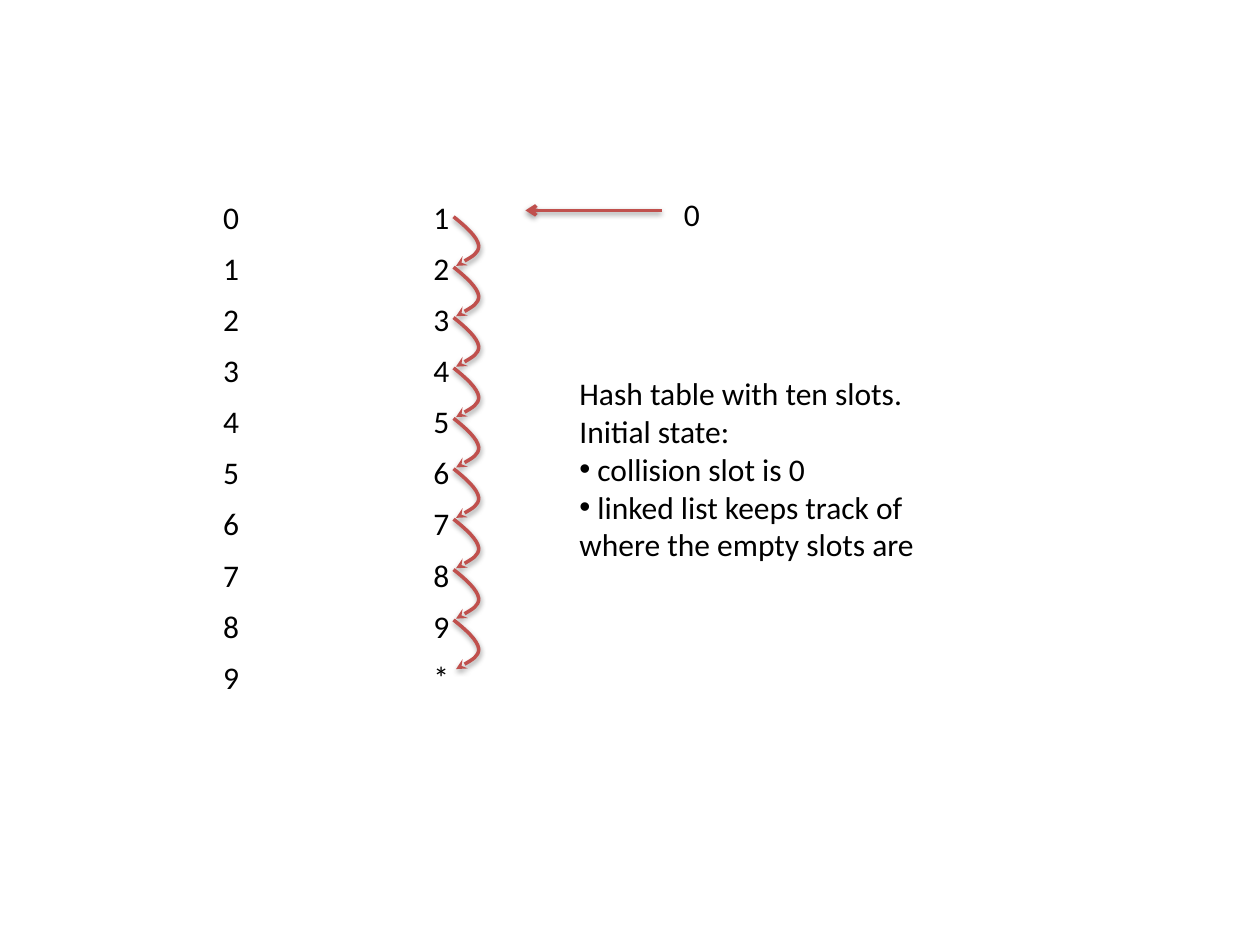
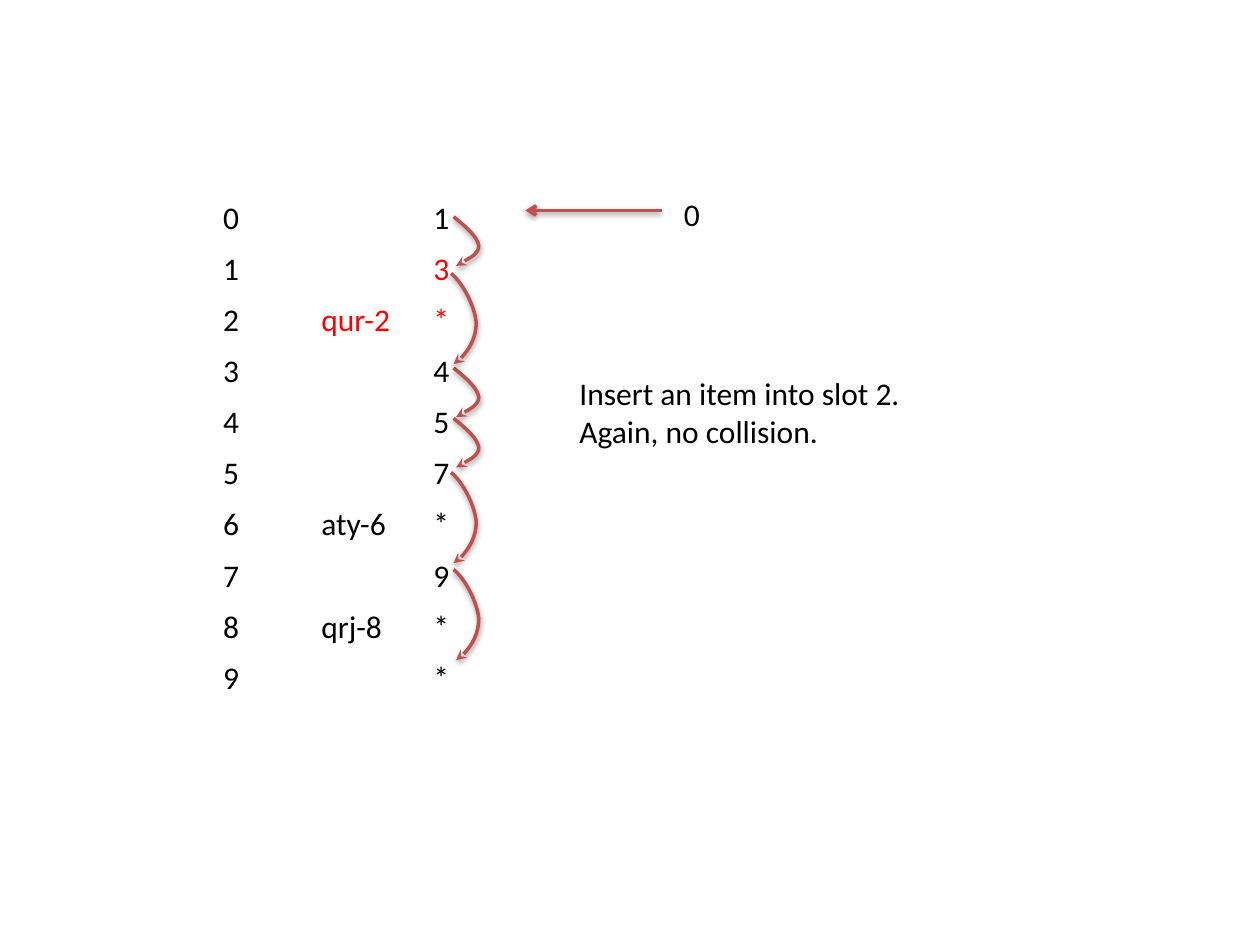
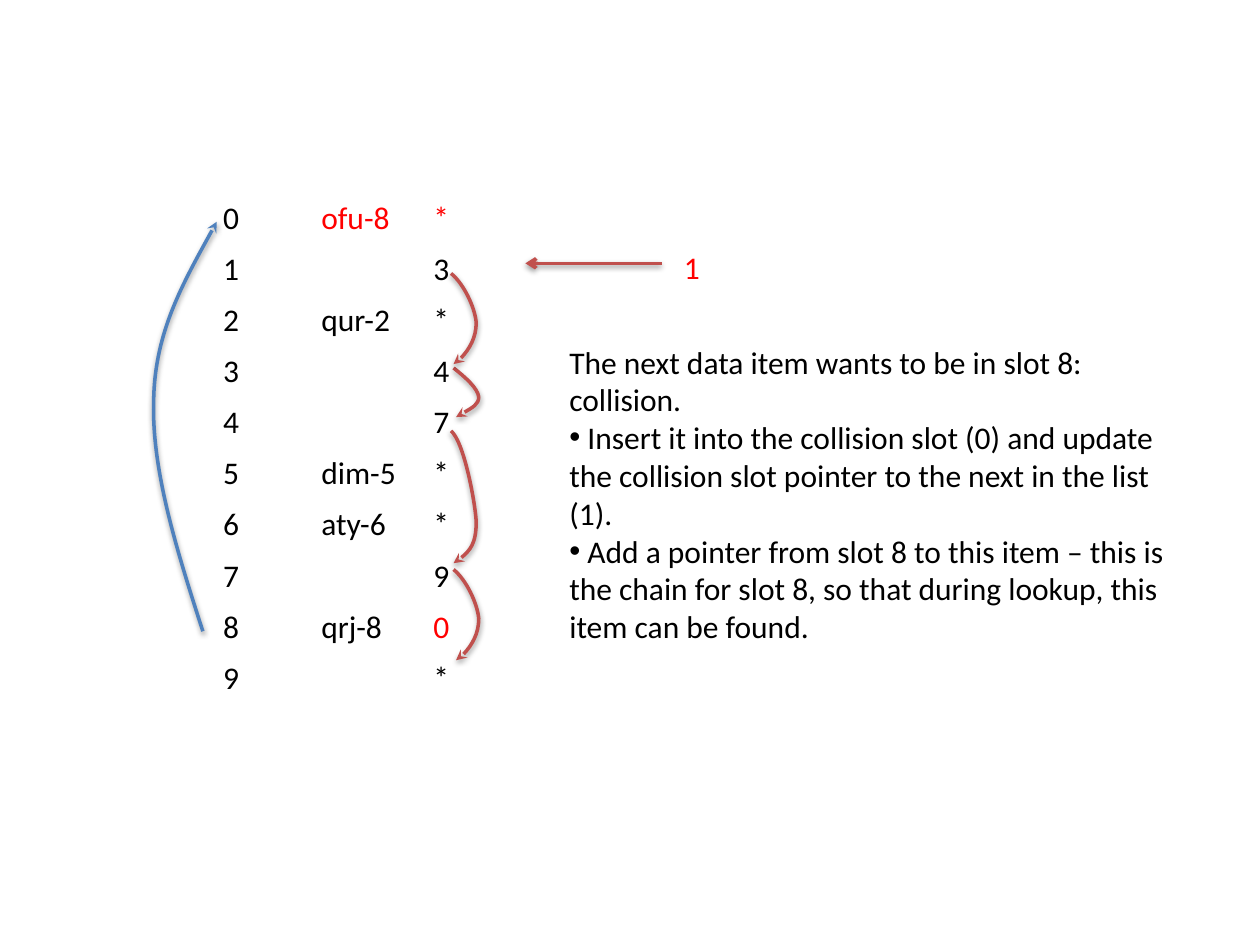
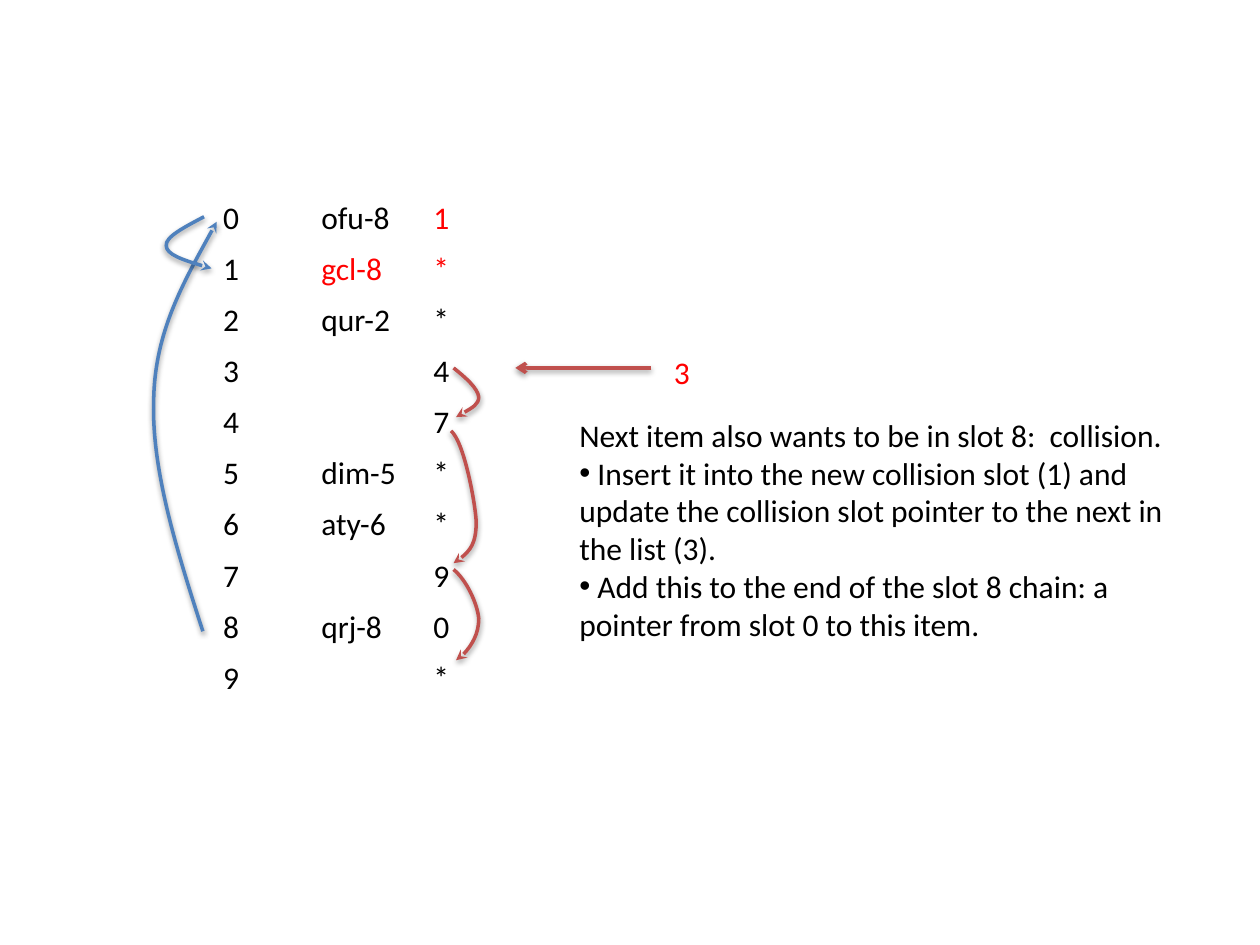
from dataclasses import dataclass, field
from typing import NamedTuple

from lxml.etree import SubElement
from pptx import Presentation
from pptx.dml.color import RGBColor
from pptx.enum.shapes import MSO_CONNECTOR
from pptx.enum.text import MSO_AUTO_SIZE
from pptx.oxml.ns import qn
from pptx.util import Inches, Pt

STRAIGHT = MSO_CONNECTOR.STRAIGHT
FIT_SHAPE = MSO_AUTO_SIZE.SHAPE_TO_FIT_TEXT

FONT = "Calibri"
BLACK, RED = "000000", "FF0000"
LIST_COLOR, CHAIN_COLOR = "C0504D", "4F81BD"

# Table grid
TABLE_LEFT, TABLE_TOP = 1.67, 1.53
COL_WIDTHS = (0.78, 0.89, 0.67)
SLOTS, ROW_HEIGHT = 10, 0.406

# Free list arrows: first start point and step per slot
LINK_X, LINK_Y, LINK_STEP = 3.6, 1.72, 0.4

# Bezier points relative to the start, by number of slots spanned
Points = list[tuple[float, float]]
LINK_CURVES: dict[int, Points] = {
    1: [(0, 0), (0.1, 0.08), (0.19, 0.16), (0.2, 0.23),
        (0.2, 0.29), (0.11, 0.34), (0.02, 0.39)],
    2: [(0, 0), (0.1, 0.08), (0.19, 0.27), (0.2, 0.39),
        (0.2, 0.51), (0.11, 0.67), (0.02, 0.72)],
    3: [(0, 0), (0.1, 0.08), (0.19, 0.55), (0.2, 0.72),
        (0.2, 0.9), (0.11, 1), (0.02, 1.05)],
}

# Collision chain arrows, in slide coordinates
CHAIN_8_TO_0: Points = [(1.61, 5.01), (1.4, 4.36), (1.2, 3.72), (1.22, 3.17),
                        (1.23, 2.63), (1.48, 2.2), (1.72, 1.76)]
CHAIN_0_TO_1: Points = [(1.62, 1.72), (1.47, 1.8), (1.31, 1.88), (1.32, 1.95),
                        (1.32, 2.02), (1.5, 2.08), (1.68, 2.13)]


class Link(NamedTuple):
    """Arrow from an empty slot to the next empty one."""
    slot: int
    span: int = 1
    dx: float = 0
    dy: float = 0


class Pointer(NamedTuple):
    """Collision slot pointer: label and arrow height."""
    label: str
    y: float
    dx: float = 0
    color: str = BLACK


class Note(NamedTuple):
    """Explanation: box, plain paragraphs, bulleted paragraphs."""
    box: tuple[float, float, float, float]
    lines: list[str]
    bullets: list[str] = []


@dataclass
class State:
    """One state of the hash table."""
    nexts: str
    links: list[Link]
    pointer: Pointer
    note: Note
    items: dict[int, str] = field(default_factory=dict)
    changed: set[tuple[int, int]] = field(default_factory=set)
    chains: list[Points] = field(default_factory=list)


def rgb(color: str) -> RGBColor:
    return RGBColor.from_string(color)


def write(p, text: str, *, color: str = BLACK, size: float = 18,
          bullet: bool = False) -> None:
    """Add a formatted run to a paragraph."""
    r = p.add_run()
    r.text = text
    r.font.name, r.font.size = FONT, Pt(size)
    r.font.color.rgb = rgb(color)
    if bullet:
        p_pr = p._p.get_or_add_pPr()
        SubElement(p_pr, qn("a:buFont"), typeface="Arial")
        SubElement(p_pr, qn("a:buChar"), char="•")


def add_text(s, box: tuple[float, float, float, float], lines: list[str],
             bullets: list[str], color: str = BLACK) -> None:
    tf = s.shapes.add_textbox(*map(Inches, box)).text_frame
    tf.word_wrap = True
    tf.auto_size = FIT_SHAPE
    for i, text in enumerate(lines + bullets):
        p = tf.paragraphs[0] if i == 0 else tf.add_paragraph()
        write(p, text, color=color, bullet=i >= len(lines))


def style_arrow(shape, color: str, head: str) -> None:
    """Set line, arrowhead and soft shadow."""
    shape.line.color.rgb = rgb(color)
    shape.line.width = Pt(2)
    sp_pr = shape.element.spPr
    SubElement(sp_pr.find(qn("a:ln")), qn("a:tailEnd"), type=head)
    effects = SubElement(sp_pr, qn("a:effectLst"))
    shadow = SubElement(effects, qn("a:outerShdw"), blurRad="40000",
                        dist="20000", dir="5400000", rotWithShape="0")
    shade = SubElement(shadow, qn("a:srgbClr"), val=BLACK)
    SubElement(shade, qn("a:alpha"), val="38000")


def add_curve(s, points: Points, color: str) -> None:
    """Draw an open Bezier arrow: a start, then three points a segment."""
    start, *rest = [(Inches(x), Inches(y)) for x, y in points]
    builder = s.shapes.build_freeform(*start)
    builder.add_line_segments(rest, close=False)
    sp = builder.convert_to_shape()
    sp.fill.background()
    outline = sp.element.find(".//" + qn("a:path"))
    segments = outline.findall(qn("a:lnTo"))
    for i in range(0, len(segments), 3):
        curve = SubElement(outline, qn("a:cubicBezTo"))
        for segment in segments[i:i + 3]:
            curve.append(segment[0])
            outline.remove(segment)
    style_arrow(sp, color, "stealth")


def add_link(s, link: Link) -> None:
    x = LINK_X + link.dx
    y = LINK_Y + LINK_STEP * link.slot + link.dy
    add_curve(s, [(x + px, y + py) for px, py in LINK_CURVES[link.span]],
              LIST_COLOR)


def add_pointer(s, pointer: Pointer) -> None:
    y = Inches(pointer.y)
    arrow = s.shapes.add_connector(STRAIGHT, Inches(5.25 + pointer.dx), y,
                                   Inches(4.17 + pointer.dx), y)
    style_arrow(arrow, LIST_COLOR, "arrow")
    add_text(s, (5.33 + pointer.dx, pointer.y - 0.17, 0.33, 0.4),
             [pointer.label], [], pointer.color)


def add_slots(s, state: State) -> None:
    """Table of slot number, stored item and next slot."""
    table = s.shapes.add_table(
        SLOTS, len(COL_WIDTHS), Inches(TABLE_LEFT), Inches(TABLE_TOP),
        Inches(sum(COL_WIDTHS)), Inches(SLOTS * ROW_HEIGHT)).table
    table.first_row = table.horz_banding = False
    for column, width in zip(table.columns, COL_WIDTHS):
        column.width = Inches(width)
    for row in range(SLOTS):
        values = (str(row), state.items.get(row, ""), state.nexts[row])
        for col, text in enumerate(values):
            cell = table.cell(row, col)
            cell.fill.background()
            if text:
                write(cell.text_frame.paragraphs[0], text,
                      color=RED if (row, col) in state.changed else BLACK)


def add_state(prs, state: State) -> None:
    s = prs.slides.add_slide(prs.slide_layouts[6])
    add_slots(s, state)
    for link in state.links:
        add_link(s, link)
    for chain in state.chains:
        add_curve(s, chain, CHAIN_COLOR)
    add_pointer(s, state.pointer)
    add_text(s, *state.note)


# Links and items that several states share
FROM_1 = Link(1, 2, -0.02, 0.05)
FROM_3 = Link(3)
FROM_4 = Link(4, 3, -0.02, 0.1)
FROM_5 = Link(5, 2, -0.02, 0.03)
FROM_7 = Link(7, 2)
EARLY_ITEMS = {2: "qur-2", 6: "aty-6", 8: "qrj-8"}
LATER_ITEMS = EARLY_ITEMS | {0: "ofu-8", 5: "dim-5"}

STATES = [
    State(
        nexts="123456789*",
        links=[Link(slot) for slot in range(SLOTS - 1)],
        pointer=Pointer("0", 1.67),
        note=Note((4.5, 2.92, 2.92, 1.62),
                  ["Hash table with ten slots.", "Initial state:"],
                  [" collision slot is 0",
                   " linked list keeps track of where the empty slots are"])),
    State(
        nexts="13*457*9**",
        items=EARLY_ITEMS,
        changed={(1, 2), (2, 1), (2, 2)},
        links=[Link(0), FROM_3, Link(4), FROM_7, FROM_5, FROM_1],
        pointer=Pointer("0", 1.67),
        note=Note((4.5, 2.92, 2.92, 0.71),
                  ["Insert an item into slot 2.  Again, no collision."])),
    State(
        nexts="*3*47**90*",
        items=LATER_ITEMS,
        changed={(0, 1), (0, 2), (8, 2)},
        links=[FROM_3, FROM_7, FROM_1, FROM_4],
        chains=[CHAIN_8_TO_0],
        pointer=Pointer("1", 2.09, color=RED),
        note=Note((4.42, 2.67, 4.92, 2.83),
                  ["The next data item wants to be in slot 8:  collision."],
                  [" Insert it into the collision slot (0) and update the "
                   "collision slot pointer to the next in the list (1).",
                   " Add a pointer from slot 8 to this item – this is the "
                   "chain for slot 8, so that during lookup, this item can "
                   "be found."])),
    State(
        nexts="1**47**90*",
        items=LATER_ITEMS | {1: "gcl-8"},
        changed={(0, 2), (1, 1), (1, 2)},
        links=[FROM_3, FROM_7, FROM_4],
        chains=[CHAIN_8_TO_0, CHAIN_0_TO_1],
        pointer=Pointer("3", 2.92, -0.08, RED),
        note=Note((4.5, 3.25, 4.83, 2.22),
                  ["Next item also wants to be in slot 8:  collision."],
                  [" Insert it into the new collision slot (1) and update "
                   "the collision slot pointer to the next in the list (3).",
                   " Add this to the end of the slot 8 chain: a pointer from "
                   "slot 0 to this item."])),
]

prs = Presentation()
prs.slide_width, prs.slide_height = Inches(10), Inches(7.5)
for state in STATES:
    add_state(prs, state)
prs.save("out.pptx")
